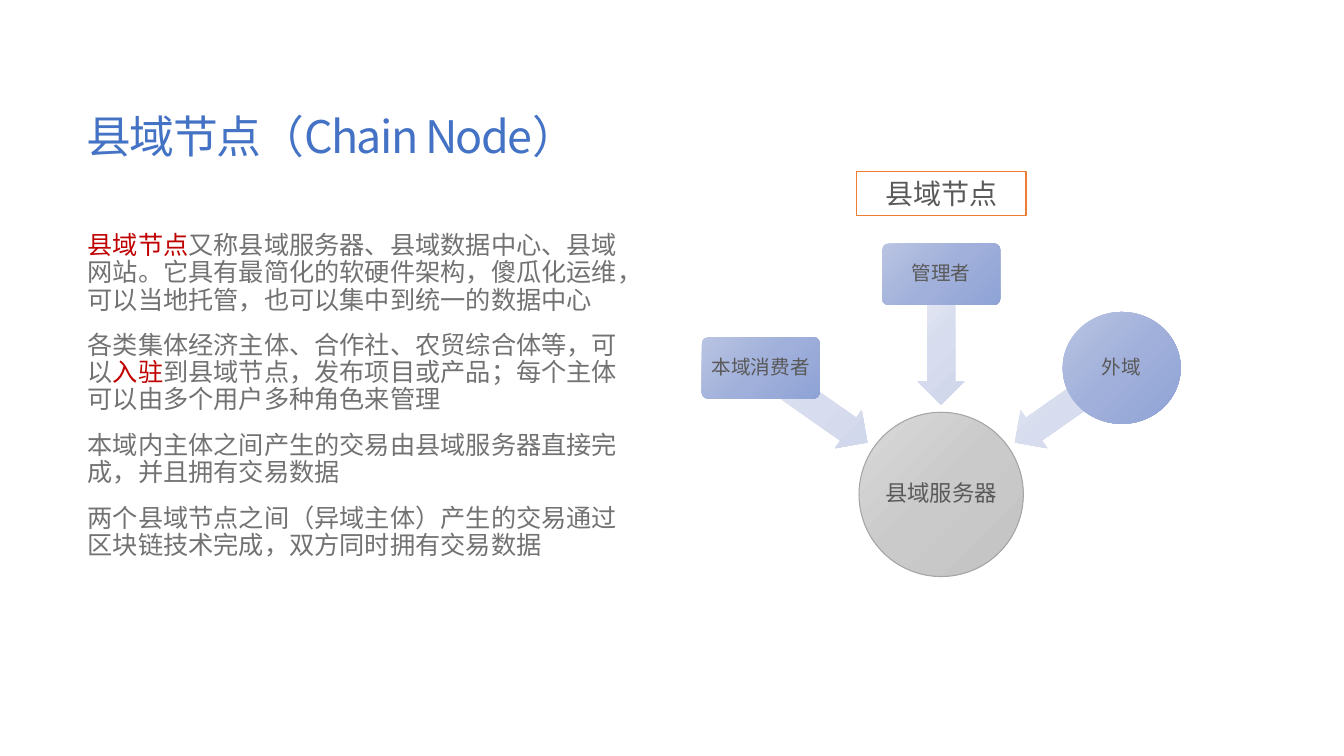
from copy import deepcopy

from lxml import etree
from pptx import Presentation
from pptx.dml.color import RGBColor
from pptx.enum.shapes import MSO_SHAPE
from pptx.enum.text import MSO_ANCHOR, MSO_AUTO_SIZE, PP_ALIGN
from pptx.oxml.ns import qn
from pptx.util import Inches, Pt

RECT, ROUND = MSO_SHAPE.RECTANGLE, MSO_SHAPE.ROUNDED_RECTANGLE
OVAL, ARROW = MSO_SHAPE.OVAL, MSO_SHAPE.LEFT_ARROW
LEFT, CENTER = PP_ALIGN.LEFT, PP_ALIGN.CENTER
TOP, MIDDLE = MSO_ANCHOR.TOP, MSO_ANCHOR.MIDDLE
NO_FIT = MSO_AUTO_SIZE.NONE

FONT = "Noto Sans CJK SC"
WHITE = RGBColor(0xFF, 0xFF, 0xFF)
BLUE = RGBColor(0x44, 0x72, 0xC4)
RED = RGBColor(0xC0, 0x00, 0x00)
GREY = RGBColor(0x72, 0x72, 0x72)
DARK = RGBColor(0x59, 0x59, 0x59)
ORANGE = RGBColor(0xED, 0x7D, 0x31)
SILVER = RGBColor(0xA5, 0xA5, 0xA5)
HUB_FILL = [RGBColor(v, v, v) for v in (0xDA, 0xCA, 0xC3)]
NODE_FILL = [RGBColor(0xB9, 0xC4, 0xE3), RGBColor(0xA1, 0xB0, 0xDA),
             RGBColor(0x8F, 0xA3, 0xD6)]
ARROW_FILL = [RGBColor(0xEB, 0xED, 0xF6), RGBColor(0xD7, 0xDC, 0xEE),
              RGBColor(0xD0, 0xD6, 0xEB)]
GRID_ROWS = 75  # square cells, so the same unit serves columns and rows


def write(tf, paragraphs, size=14, align=CENTER, anchor=MIDDLE, inset=None,
          leading=0.9, before=0, tracking=0):
    """Fill a text frame; each paragraph is a list of (text, colour) runs."""
    tf.word_wrap, tf.auto_size, tf.vertical_anchor = True, NO_FIT, anchor
    if inset is not None:
        tf.margin_left = tf.margin_right = Inches(inset)
        tf.margin_top = tf.margin_bottom = Inches(inset)
    for i, runs in enumerate(paragraphs):
        p = tf.paragraphs[0] if i == 0 else tf.add_paragraph()
        p.alignment, p.line_spacing = align, leading
        p.space_before = Pt(before)
        for text, colour in runs:
            r = p.add_run()
            r.text = text
            r.font.size, r.font.name = Pt(size), FONT
            r.font.color.rgb = colour
            rPr = r.font._element
            etree.SubElement(rPr, qn("a:ea")).set("typeface", FONT)
            if tracking:
                rPr.set("spc", str(round(tracking * 100)))


def shade(shape, colours):
    """Fill a shape with a diagonal gradient that ignores its rotation."""
    shape.fill.gradient()
    shape.fill.gradient_angle = 315
    spPr = shape._element.spPr
    spPr.find(qn("a:gradFill")).set("rotWithShape", "0")
    stops = spPr.find(".//" + qn("a:gsLst"))
    stops.insert(1, deepcopy(stops[0]))
    for i, stop in enumerate(shape.fill.gradient_stops):
        stop.position, stop.color.rgb = i / 2, colours[i]


class Deck:
    """Holds the grid and the current slide, and draws its elements."""

    def __init__(self, prs):
        """Add a title-and-content slide."""
        self.cell = prs.slide_height / GRID_ROWS
        self.s = prs.slides.add_slide(prs.slide_layouts[1])

    def place(self, sp, col, row, cols, rows):
        """Move a shape to its cells on the grid."""
        sp.left, sp.top, sp.width, sp.height = (
            round(n * self.cell) for n in (col, row, cols, rows))

    def title(self, text, *box):
        """Write the title placeholder."""
        sp = self.s.shapes.title
        self.place(sp, *box)
        write(sp.text_frame, [[(text, BLUE)]], size=32, align=LEFT,
              leading=0.85, tracking=-1.2)

    def body(self, paragraphs, *box):
        """Write the body placeholder without bullets."""
        sp = self.s.placeholders[1]
        self.place(sp, *box)
        write(sp.text_frame, paragraphs, size=18, align=LEFT, anchor=TOP,
              leading=0.9, before=13)
        for p in sp.text_frame.paragraphs:
            pPr = p._p.get_or_add_pPr()
            pPr.set("marL", "0")
            pPr.set("indent", "0")
            etree.SubElement(pPr, qn("a:buNone"))

    def shape(self, kind, x, y, cols, rows, fill, line=None, weight=1,
              text=None, adjust=(), rotation=0, **fmt):
        """Draw a preset shape centred on x, y, with an optional label."""
        sp = self.s.shapes.add_shape(kind, 0, 0, 0, 0)
        self.place(sp, x - cols / 2, y - rows / 2, cols, rows)
        sp.shadow.inherit = False
        sp.rotation = rotation
        for i, value in enumerate(adjust):
            sp.adjustments[i] = value
        if isinstance(fill, list):
            shade(sp, fill)
        else:
            sp.fill.solid()
            sp.fill.fore_color.rgb = fill
        if line is None:
            sp.line.fill.background()
        else:
            sp.line.color.rgb, sp.line.width = line, Pt(weight)
        if text:
            write(sp.text_frame, [[(text, DARK)]], **fmt)


prs = Presentation()
prs.slide_width, prs.slide_height = Inches(13.33), Inches(7.5)
deck = Deck(prs)

deck.title("县域节点（Chain Node）", 7.6, 7.5, 113.7, 12.7)
deck.body([
    [("县域节点", RED),
     ("又称县域服务器、县域数据中心、县域网站。它具有最简化的软硬件架构，"
      "傻瓜化运维，可以当地托管，也可以集中到统一的数据中心", GREY)],
    [("各类集体经济主体、合作社、农贸综合体等，可以", GREY), ("入驻", RED),
     ("到县域节点，发布项目或产品；每个主体可以由多个用户多种角色来管理", GREY)],
    [("本域内主体之间产生的交易由县域服务器直接完成，并且拥有交易数据", GREY)],
    [("两个县域节点之间（异域主体）产生的交易通过区块链技术完成，"
      "双方同时拥有交易数据", GREY)],
], 7.7, 22.6, 55.7, 36.2)

AXIS, NODE_GAP, ARROW_GAP = 93.35, 17.9, 12.6
deck.shape(RECT, AXIS, 19.2, 16.8, 4.4, WHITE, line=ORANGE,
           text="县域节点", size=20, leading=1.0)
deck.shape(OVAL, AXIS, 49.05, 16.3, 16.3, HUB_FILL, line=SILVER, weight=0.75,
           text="县域服务器", size=16, inset=0.01)

NODES = [  # side, label, kind, node row, node height, arrow row, corner
    (-1, "本域消费者", ROUND, 36.5, 6.1, 40.2, [0.1]),
    (0, "管理者", ROUND, 27.2, 6.1, 33.7, [0.1]),
    (1, "外域", OVAL, 36.5, 11.1, 40.2, []),
]
for side, label, kind, row, height, arrow_row, corner in NODES:
    deck.shape(ARROW, AXIS + side * ARROW_GAP, arrow_row, 12.9, 4.6,
               ARROW_FILL, adjust=[0.6, 0.5], rotation=270 + 55 * side)
    deck.shape(kind, AXIS + side * NODE_GAP, row, 11.7, height, NODE_FILL,
               text=label, adjust=corner, inset=0.03)

prs.save("out.pptx")
